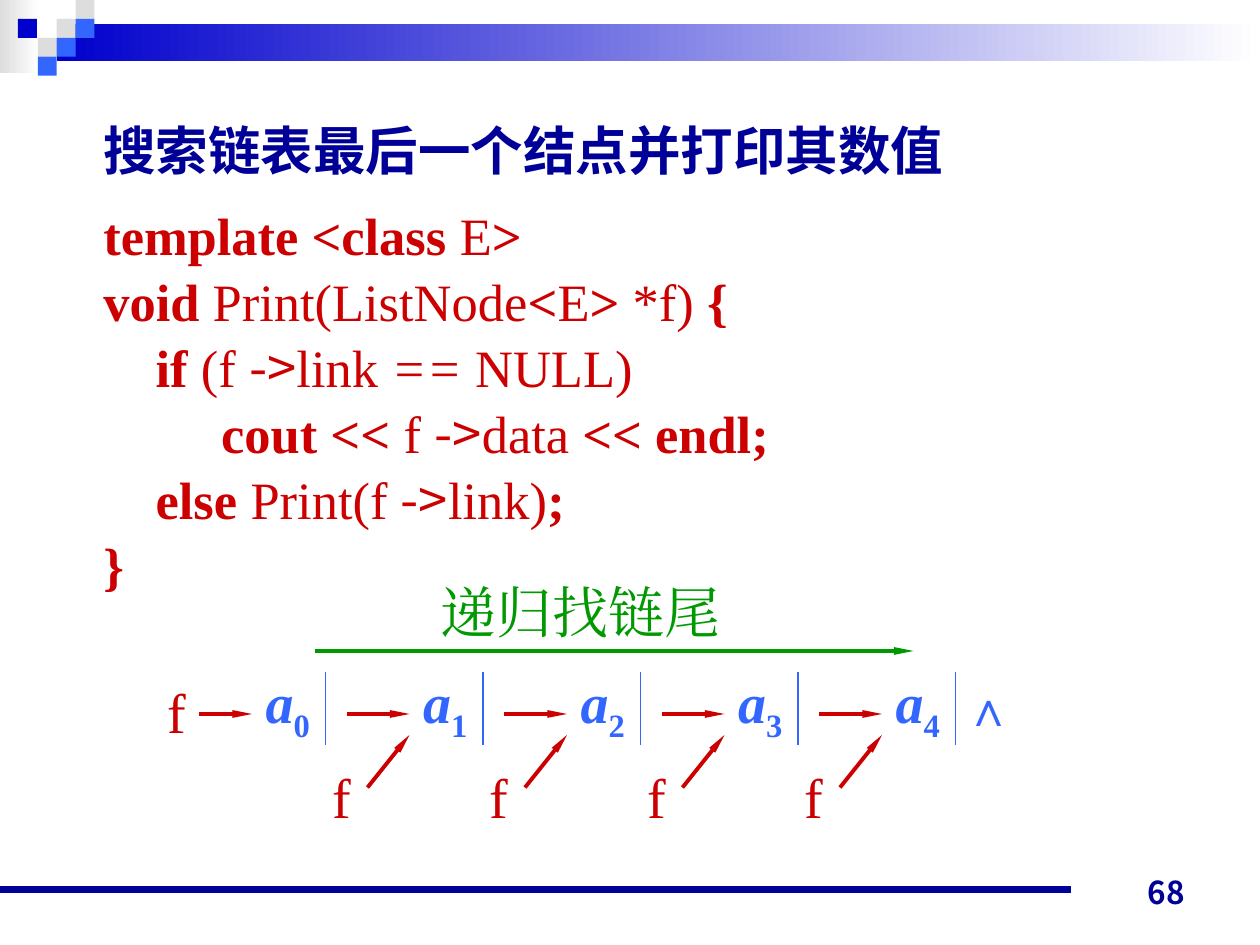
import pptx
import pptx.util
import pptx.dml.color
import pptx.enum.dml
import pptx.enum.shapes
import pptx.enum.text
import pptx.oxml.ns
import lxml.etree

Pt = pptx.util.Pt
qn = pptx.oxml.ns.qn
TIMES = "Times New Roman"
SANS = "Noto Sans CJK SC"
NAVY, BLUE, SKY, GREY = "000099", "0000CC", "3366FF", "DDDDDD"
RED, GREEN, WHITE = "CC0000", "009900", "FFFFFF"
hue = pptx.dml.color.RGBColor.from_string

deck = pptx.Presentation()
deck.slide_width, deck.slide_height = Pt(720), Pt(540)
slide = deck.slides.add_slide(deck.slide_layouts[6])
shapes = slide.shapes


def line(x1, y1, x2, y2, color, width, arrow=False):
    link = shapes.add_connector(pptx.enum.shapes.MSO_CONNECTOR.STRAIGHT,
                                Pt(x1), Pt(y1), Pt(x2), Pt(y2))
    link.line.color.rgb = hue(color)
    link.line.width = Pt(width)
    props = link._element.spPr
    lxml.etree.SubElement(props, qn("a:effectLst"))
    if arrow:
        lxml.etree.SubElement(props.find(qn("a:ln")), qn("a:tailEnd"),
                              type="triangle", w="sm", len="lg")


def text(left, top, width, height, rows, color, size):
    """Add a box; each row is a list of (words, font, format values)."""
    box = shapes.add_textbox(Pt(left), Pt(top), Pt(width), Pt(height))
    frame = box.text_frame
    frame.word_wrap = True
    frame.margin_right = 0
    for i, row in enumerate(rows):
        para = frame.paragraphs[0] if i == 0 else frame.add_paragraph()
        for words, face, form in row:
            run = para.add_run()
            run.text = words
            run.font.color.rgb = hue(color)
            for key, value in {"name": face, "size": Pt(size), **form}.items():
                setattr(run.font, key, value)
            lxml.etree.SubElement(run._r.get_or_add_rPr(), qn("a:ea"),
                                  typeface=face)
    return frame


# Banner: two fading bars and a checker of small squares
tile = 10.8
bars = [(0, 0, 22.3, 41.8, GREY, WHITE), (32.4, 13.7, 687.6, 21.2, BLUE, WHITE)]
cells = [(3, 1, GREY), (4, 0, GREY), (4, 1, SKY), (2, 2, GREY),
         (0.95, 1, BLUE), (3, 2, SKY), (2, 3, SKY)]
bars += [(col * tile, row * tile, tile, tile, tone, None)
         for col, row, tone in cells]
for left, top, width, height, tone, fade in bars:
    rect = shapes.add_shape(pptx.enum.shapes.MSO_SHAPE.RECTANGLE,
                            Pt(left), Pt(top), Pt(width), Pt(height))
    rect.shadow.inherit = False
    rect.line.fill.background()
    if fade:
        rect.fill.gradient()
        rect.fill.gradient_angle = 0
        for stop, shade, place in zip(rect.fill.gradient_stops,
                                      (tone, fade), (0, 1)):
            stop.color.rgb = hue(shade)
            stop.position = place
    else:
        rect.fill.solid()
        rect.fill.fore_color.rgb = hue(tone)

# Footer
line(0, 508.3, 612, 508.3, NAVY, 4.5)
bold, plain = {"bold": True}, {"bold": False}
foot = text(516, 488, 168, 36, [[("68", "Noto Sans CJK JP", bold)]], NAVY, 18)
foot.margin_right = Pt(7.2)
foot.vertical_anchor = pptx.enum.text.MSO_ANCHOR.BOTTOM
foot.paragraphs[0].alignment = pptx.enum.text.PP_ALIGN.RIGHT

# Title and code
head = text(52, 60.5, 606, 47, [[("搜索链表最后一个结点并打印其数值", SANS, bold)]],
            NAVY, 30)
head.paragraphs[0].line_spacing = Pt(39.5)
arrow = ("->", SANS, plain)
code = [
    [("template <class ", TIMES, bold), ("E", TIMES, plain), (">", TIMES, bold)],
    [("void", TIMES, bold), (" Print(ListNode", TIMES, plain),
     ("<", TIMES, bold), ("E", TIMES, plain), (">", TIMES, bold),
     (" *f) ", TIMES, plain), ("{", TIMES, bold)],
    [("    if", TIMES, bold), (" (f ", TIMES, plain), arrow,
     ("link ", TIMES, plain), ("==", TIMES, {"italic": True}),
     (" NULL)", TIMES, plain)],
    [("         cout <<", TIMES, bold), (" f ", TIMES, plain), arrow,
     ("data ", TIMES, plain), ("<< endl;", TIMES, bold)],
    [("    else ", TIMES, bold), ("Print(f ", TIMES, plain), arrow,
     ("link)", TIMES, plain), (";", TIMES, bold)],
    [("}", TIMES, bold)],
]
body = text(52, 111, 606, 234, code, RED, 30)
for para in body.paragraphs:
    para.line_spacing = Pt(37.7)

# Linked list: five nodes, one every 90 points
text(244.8, 326.2, 180, 45.4, [[("递归找链尾", TIMES, {})]], GREEN, 32)
line(180, 372, 522, 372, GREEN, 2.25, True)
text(88.6, 383.8, 33, 45.4, [[("f", TIMES, {})]], RED, 32)
line(114, 408, 144, 408, RED, 2.25, True)
for i in range(5):
    left = 144.7 + 90 * i
    wall = 186 + 90 * i
    node = text(left, 378, 48, 45.4,
                [[("a", TIMES, {"bold": True, "italic": True}),
                  (str(i), TIMES, bold)]], SKY, 32)
    node.paragraphs[0].runs[1].font._rPr.set("baseline", "-25000")
    line(wall, 384, wall, 426, SKY, 0.75)
    if i < 4:
        line(wall + 12, 408, wall + 48, 408, RED, 2.25, True)
        text(wall - 3.1, 432, 33, 45.4, [[("f", TIMES, {})]], RED, 32)
        line(wall + 24, 450, wall + 48, 420, RED, 2.25, True)
text(544.3, 383.8, 36, 41, [[("∧", TIMES, bold)]], SKY, 28)

deck.save("out.pptx")
